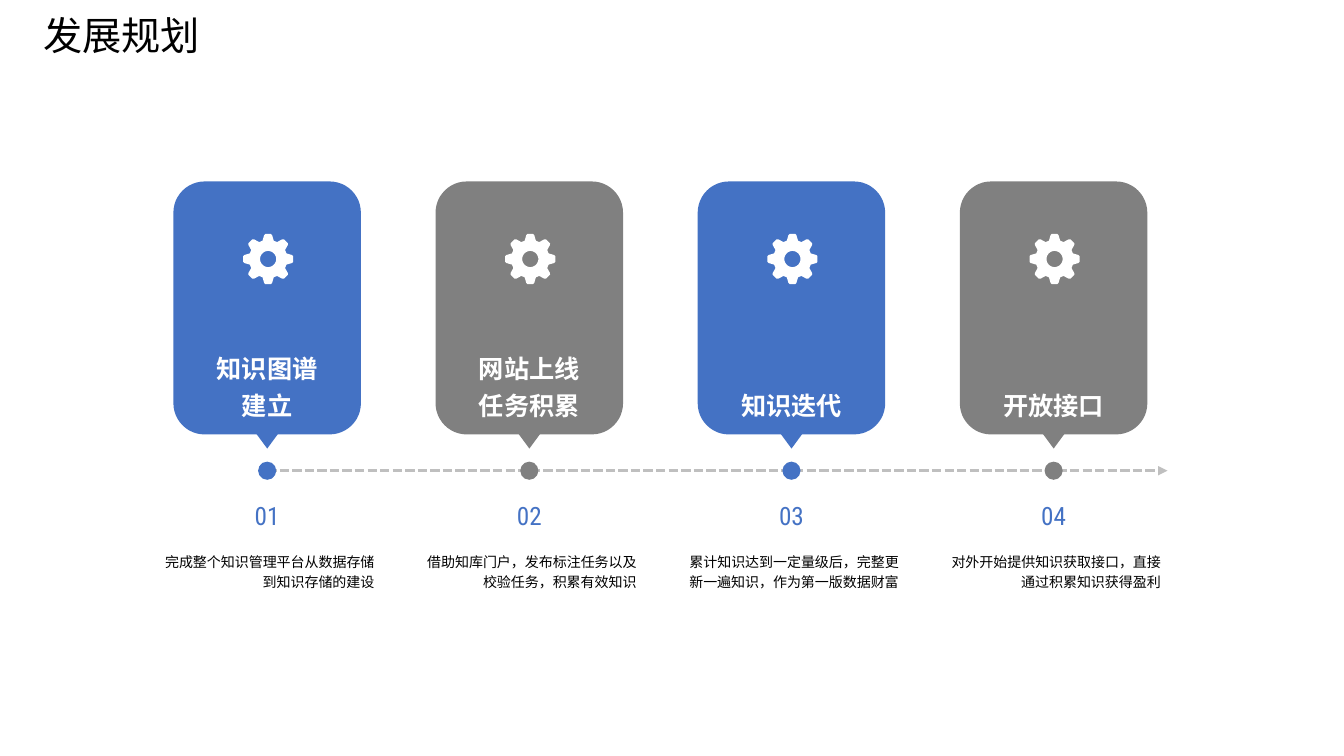
import math
import pptx
import pptx.util
import pptx.dml.color
import pptx.enum.shapes
import pptx.enum.text
import pptx.oxml.ns
from lxml import etree

TITLE = "发展规划"
STAGES = [
    ("01", "blue", ["知识图谱", "建立"], "完成整个知识管理平台从数据存储到知识存储的建设"),
    ("02", "gray", ["网站上线", "任务积累"], "借助知库门户，发布标注任务以及校验任务，积累有效知识"),
    ("03", "blue", ["知识迭代"], "累计知识达到一定量级后，完整更新一遍知识，作为第一版数据财富"),
    ("04", "gray", ["开放接口"], "对外开始提供知识获取接口，直接通过积累知识获得盈利"),
]
COLORS = {"blue": "4472C4", "gray": "808080", "axis": "BFBFBF",
          "white": "FFFFFF", "black": "000000"}
CJK, CONDENSED = "Noto Sans CJK SC", "Roboto Condensed"
FIRST_X, STEP = 2.65, 2.6
AXIS_Y, AXIS_END = 4.67, 11.58
GEAR_Y, HOLE_R = 2.57, 0.08
TOOTH = [(0.19, -17), (0.24, -9.5), (0.25, -6.5),
         (0.25, 6.5), (0.24, 9.5), (0.19, 17)]

Inches = pptx.util.Inches
qn = pptx.oxml.ns.qn
SHAPE = pptx.enum.shapes.MSO_SHAPE
ALIGN = pptx.enum.text.PP_ALIGN
ANCHOR = pptx.enum.text.MSO_ANCHOR


def rgb(name):
    return pptx.dml.color.RGBColor.from_string(COLORS[name])


def write(s, lines, size, font, color, align, anchor, spacing=1.0,
          bold=False, wrap=True, insets=(0.1, 0.05, 0.1, 0.05)):
    tf = s.text_frame
    tf.word_wrap = wrap
    tf.vertical_anchor = anchor
    tf.margin_left, tf.margin_top, tf.margin_right, tf.margin_bottom = map(Inches, insets)
    for i, line in enumerate(lines):
        p = tf.add_paragraph() if i else tf.paragraphs[0]
        p.alignment = align
        p.line_spacing = spacing
        r = p.add_run()
        r.text = line
        r.font.size = pptx.util.Pt(size)
        r.font.bold = bold
        r.font.color.rgb = rgb(color)
        r.font.name = font
        latin = r.font._element.find(qn("a:latin"))
        latin.addnext(latin.makeelement(qn("a:ea"), {"typeface": font}))


def paint(s, color):
    s.shadow.inherit = False
    s.fill.solid()
    s.fill.fore_color.rgb = rgb(color)
    s.line.fill.background()
    return s


def add_text(slide, box, *args, **kwargs):
    write(slide.shapes.add_textbox(*map(Inches, box)), *args, **kwargs)


def add_solid(slide, kind, box, color):
    return paint(slide.shapes.add_shape(kind, *map(Inches, box)), color)


def add_axis(slide):
    s = slide.shapes.add_connector(
        pptx.enum.shapes.MSO_CONNECTOR.STRAIGHT,
        *map(Inches, (FIRST_X, AXIS_Y, AXIS_END, AXIS_Y)))
    s.line.color.rgb = rgb("axis")
    s.line.width = pptx.util.Pt(2.25)
    props = s._element.spPr
    ln = props.find(qn("a:ln"))
    etree.SubElement(ln, qn("a:prstDash"), val="sysDash")
    etree.SubElement(ln, qn("a:tailEnd"), type="triangle")
    etree.SubElement(props, qn("a:effectLst"))


def add_gear(slide, x):
    def point(radius, degrees):
        a = math.radians(degrees)
        return Inches(x + radius * math.cos(a)), Inches(GEAR_Y + radius * math.sin(a))

    rim = [point(r, 45 * k + a) for k in range(8) for r, a in TOOTH]
    hole = [point(HOLE_R, -10 * k) for k in range(36)]
    builder = slide.shapes.build_freeform(*rim[0], scale=1.0)
    builder.add_line_segments(rim[1:], close=True)
    builder.move_to(*hole[0])
    builder.add_line_segments(hole[1:], close=True)
    paint(builder.convert_to_shape(), "white")


def add_stage(slide, x, number, color, heading, detail):
    card = add_solid(slide, SHAPE.ROUNDED_RECTANGLE, (x - 0.93, 1.8, 1.86, 2.51), color)
    write(card, heading, 18, CJK, "white", ALIGN.CENTER, ANCHOR.BOTTOM,
          spacing=1.2, bold=True, insets=(0.1, 1.18, 0.1, 0.05))
    pointer = add_solid(slide, SHAPE.ISOSCELES_TRIANGLE, (x - 0.14, 4.26, 0.28, 0.19), color)
    pointer.rotation = 180
    add_gear(slide, x + 0.01)
    add_solid(slide, SHAPE.OVAL, (x - 0.09, AXIS_Y - 0.09, 0.18, 0.18), color)
    add_text(slide, (x - 0.15, 4.94, 0.3, 0.34), [number], 18, CONDENSED, "blue",
             ALIGN.CENTER, ANCHOR.MIDDLE, wrap=False, insets=(0, 0, 0, 0))
    add_text(slide, (x - 1.16, 5.26, 2.32, 0.8), [detail], 10, CJK, "black",
             ALIGN.RIGHT, ANCHOR.MIDDLE, spacing=1.2)


def main():
    prs = pptx.Presentation()
    prs.slide_width, prs.slide_height = Inches(13.33), Inches(7.5)
    slide = prs.slides.add_slide(prs.slide_layouts[6])
    add_text(slide, (0.33, 0, 12.67, 0.75), [TITLE], 28, CJK, "black",
             ALIGN.LEFT, ANCHOR.MIDDLE, spacing=0.9)
    add_axis(slide)
    for i, stage in enumerate(STAGES):
        add_stage(slide, FIRST_X + i * STEP, *stage)
    prs.save("out.pptx")


if __name__ == "__main__":
    main()
